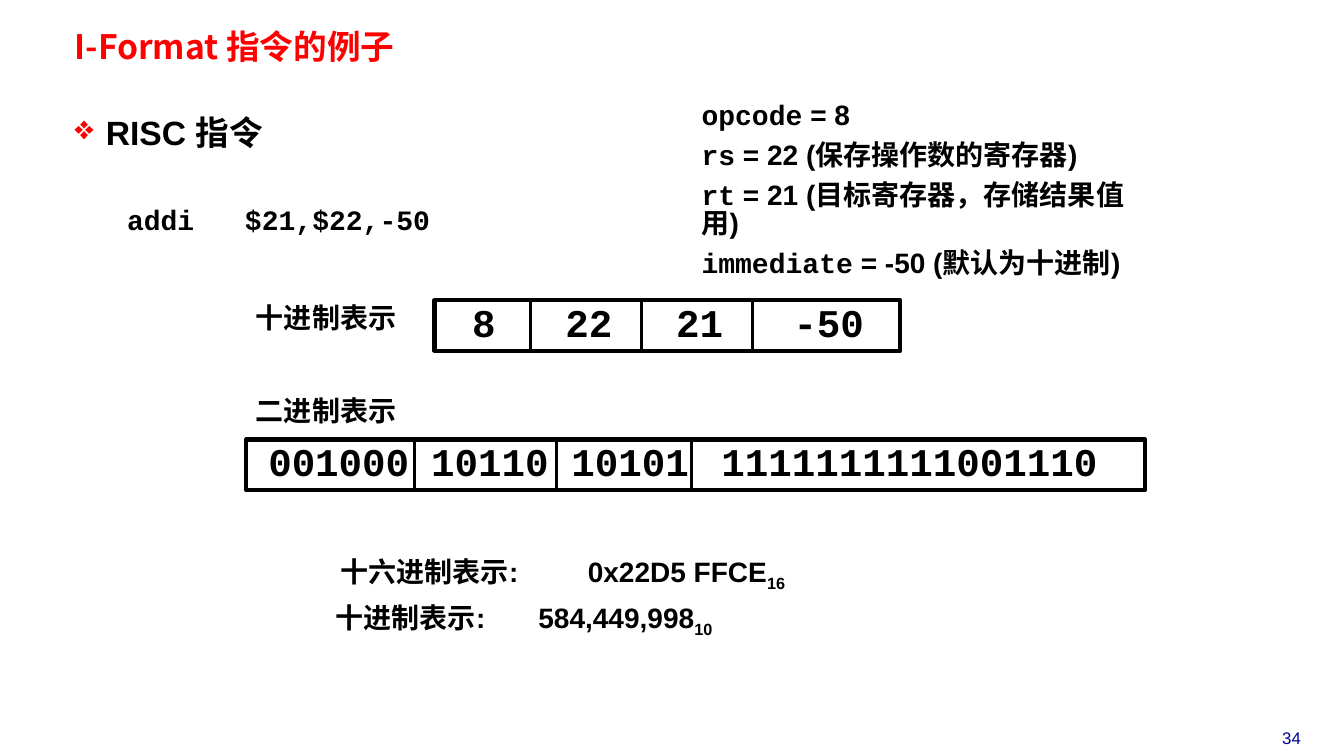
from lxml.etree import SubElement
from pptx import Presentation
from pptx.dml.color import RGBColor
from pptx.enum.shapes import MSO_CONNECTOR as CONN, MSO_SHAPE as SHAPE
from pptx.enum.text import PP_ALIGN as AL
from pptx.oxml.ns import qn
from pptx.util import Inches, Pt

COLORS = {"black": "000000", "red": "FF0000", "navy": "000099"}
SANS, MONO, CJK = "Arial", "Courier New", "Noto Sans CJK SC"
TIGHT = (0.07, 0.03)
NORMAL = (0.1, 0.05)


def add_text(shapes, box, paras, size=20, color="black", bold=True, align=AL.LEFT,
             spacing=0.85, inset=NORMAL, wrap=True):
    """Add a text box; each paragraph is a list of (text, font) runs."""
    tf = shapes.add_textbox(*map(Inches, box)).text_frame
    tf.word_wrap = wrap
    tf.margin_left = tf.margin_right = Inches(inset[0])
    tf.margin_top = tf.margin_bottom = Inches(inset[1])
    for i, runs in enumerate(paras):
        p = tf.paragraphs[0] if i == 0 else tf.add_paragraph()
        p.alignment, p.line_spacing = align, spacing
        p.space_before = Pt(8 if i else 0)
        for text, font in runs:
            r = p.add_run()
            r.text = text
            for name, value in {"name": font, "size": Pt(size), "bold": bold}.items():
                setattr(r.font, name, value)
            r.font.color.rgb = RGBColor.from_string(COLORS[color])
            SubElement(r.font._element, qn("a:ea")).set("typeface", CJK)
    return tf


def add_tab(p, position):
    tabs = SubElement(p._p.get_or_add_pPr(), qn("a:tabLst"))
    tab = SubElement(tabs, qn("a:tab"))
    tab.set("pos", str(Inches(position)))
    tab.set("algn", "l")


prs = Presentation()
prs.slide_width, prs.slide_height = Inches(13.33), Inches(7.5)
s = prs.slides.add_slide(prs.slide_layouts[6])

add_text(s.shapes, (12.34, 7.17, 0.94, 0.3), [[("34", SANS)]], size=12,
         color="navy", bold=False, align=AL.CENTER, spacing=1.0)
add_text(s.shapes, (0.67, 0.28, 7.67, 0.41), [[("I-Format 指令的例子", CJK)]],
         size=24, color="red", spacing=0.87, inset=TIGHT)

# Instruction heading with its bullet
tf = add_text(s.shapes, (0.67, 0.98, 5, 0.6), [[("RISC 指令", SANS)]],
              size=24, spacing=1.25, inset=TIGHT)
pPr = tf.paragraphs[0]._p.get_or_add_pPr()
pPr.set("marL", str(Inches(0.31)))
pPr.set("indent", str(Inches(-0.31)))
bullet_color = SubElement(pPr, qn("a:buClr"))
SubElement(bullet_color, qn("a:srgbClr")).set("val", COLORS["red"])
SubElement(pPr, qn("a:buChar")).set("char", "❖")

tf = add_text(s.shapes, (1.19, 1.98, 4, 0.4), [[("addi\t$21,$22,-50", MONO)]],
              spacing=1.0, inset=TIGHT)
add_tab(tf.paragraphs[0], 1.17)

FIELDS = [("opcode", " = 8"), ("rs", " = 22 (保存操作数的寄存器)"),
          ("rt", " = 21 (目标寄存器，存储结果值用)"), ("immediate", " = -50 (默认为十进制)")]
add_text(s.shapes, (6.86, 0.97, 4.5, 1.94),
         [[(field, MONO), (value, SANS)] for field, value in FIELDS])

for label, top in (("十进制表示", 2.98), ("二进制表示", 3.91)):
    add_text(s.shapes, (2.44, top, 1.61, 0.39), [[(label, SANS)]], wrap=False)

# Instruction words: left, top, width, divider positions, (text, centre) per field
WORDS = [
    (4.31, 2.98, 4.62, (5.26, 6.36, 7.46),
     (("8", 4.8), ("22", 5.84), ("21", 6.94), ("-50", 8.22))),
    (2.44, 4.36, 8.92, (4.11, 5.52, 6.86),
     (("001000", 3.36), ("10110", 4.86), ("10101", 6.25), ("1111111111001110", 9.02))),
]
ROW_H = 0.5
for left, top, width, dividers, cells in WORDS:
    shapes = s.shapes.add_group_shape().shapes
    for text, centre in cells:
        w = 0.24 * len(text) + 0.2
        add_text(shapes, (centre - w / 2, top, w, 0.52), [[(text, MONO)]],
                 size=28, align=AL.CENTER, wrap=False)
    sp = shapes.add_shape(SHAPE.RECTANGLE, *map(Inches, (left, top, width, ROW_H)))
    sp.shadow.inherit = False
    sp.fill.background()
    sp.line.color.rgb = RGBColor.from_string(COLORS["black"])
    sp.line.width = Pt(3)
    for x in dividers:
        ends = map(Inches, (x, top, x, top + ROW_H))
        line = shapes.add_connector(CONN.STRAIGHT, *ends)
        line.line.color.rgb = RGBColor.from_string(COLORS["black"])
        line.line.width = Pt(2.25)
        SubElement(line._element.spPr, qn("a:effectLst"))

# Whole word as one number, with its base as subscript
RESULTS = [(3.31, 5.49, "十六进制表示:\t0x22D5 FFCE", "16", 2.45),
           (3.26, 5.95, "十进制表示:\t584,449,998", "10", 2.01)]
for left, top, text, base, tab in RESULTS:
    tf = add_text(s.shapes, (left, top, 8, 0.34), [[(text, SANS), (base, SANS)]],
                  inset=TIGHT)
    p = tf.paragraphs[0]
    add_tab(p, tab)
    p.runs[1].font._element.set("baseline", "-25000")

prs.save("out.pptx")
